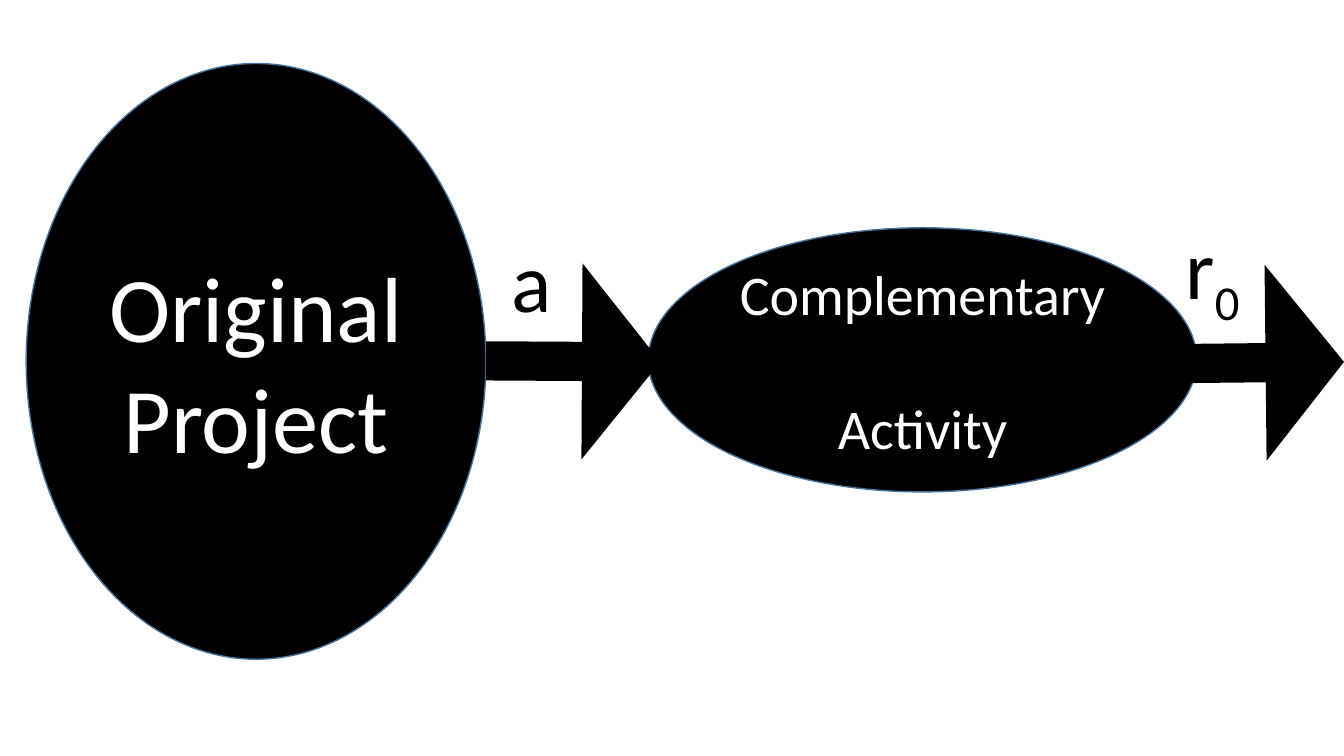
from lxml.etree import SubElement
from pptx import Presentation
from pptx.dml.color import RGBColor
from pptx.enum.shapes import MSO_CONNECTOR, MSO_SHAPE
from pptx.enum.text import MSO_ANCHOR, PP_ALIGN
from pptx.oxml.ns import qn
from pptx.util import Inches, Pt

BLACK = RGBColor(0x00, 0x00, 0x00)
WHITE = RGBColor(0xFF, 0xFF, 0xFF)
BLUE = RGBColor(0x43, 0x73, 0x9E)
FONT = "Calibri"


def style(run, size, color):
    """Set the font of one run."""
    run.font.name = FONT
    run.font.size = Pt(size)
    run.font.color.rgb = color


def add_oval(slide, box, lines, size, gap=0):
    """Draw a black oval with centred lines of text, gap points apart."""
    oval = slide.shapes.add_shape(MSO_SHAPE.OVAL, *map(Inches, box))
    oval.shadow.inherit = False
    oval.fill.solid()
    oval.fill.fore_color.rgb = BLACK
    oval.line.color.rgb = BLUE
    oval.line.width = Pt(1)
    frame = oval.text_frame
    frame.word_wrap = True
    frame.vertical_anchor = MSO_ANCHOR.MIDDLE
    frame.text = "\n".join(lines)
    for para in frame.paragraphs:
        para.alignment = PP_ALIGN.CENTER
        style(para.runs[0], size, WHITE)
    for para in frame.paragraphs[1:]:
        para.space_before = Pt(gap)


def add_arrow(slide, start, end):
    """Draw a thick black arrow with a wide, short head between two points."""
    arrow = slide.shapes.add_connector(
        MSO_CONNECTOR.STRAIGHT, *map(Inches, start + end))
    arrow.line.color.rgb = BLACK
    arrow.line.width = Pt(28)
    SubElement(arrow.line._get_or_add_ln(), qn("a:tailEnd"),
               type="triangle", w="lg", len="sm")
    SubElement(arrow._element.spPr, qn("a:effectLst"))


def add_label(slide, box, text, sub=""):
    """Write an arrow label with an optional subscript."""
    frame = slide.shapes.add_textbox(*map(Inches, box)).text_frame
    frame.word_wrap = False
    frame.text = text
    para = frame.paragraphs[0]
    if sub:
        low = para.add_run()
        low.text = sub
        low._r.get_or_add_rPr().set("baseline", "-25000")
    for run in para.runs:
        style(run, 60, BLACK)


def main():
    """Build the slide and save it."""
    deck = Presentation()
    deck.slide_width, deck.slide_height = Inches(13.33), Inches(7.5)
    slide = deck.slides.add_slide(deck.slide_layouts[6])
    add_oval(slide, (0.26, 0.63, 4.56, 5.91), ("Original", "Project"), 66)
    add_oval(slide, (6.43, 2.26, 5.44, 2.62),
             ("Complementary", "Activity"), 40, gap=48)
    add_arrow(slide, (4.82, 3.58), (6.55, 3.59))
    add_arrow(slide, (11.43, 3.61), (13.33, 3.59))
    add_label(slide, (4.97, 2.22, 0.61, 1.11), "a")
    add_label(slide, (11.66, 2.09, 0.78, 1.11), "r", "0")
    deck.save("out.pptx")


main()
